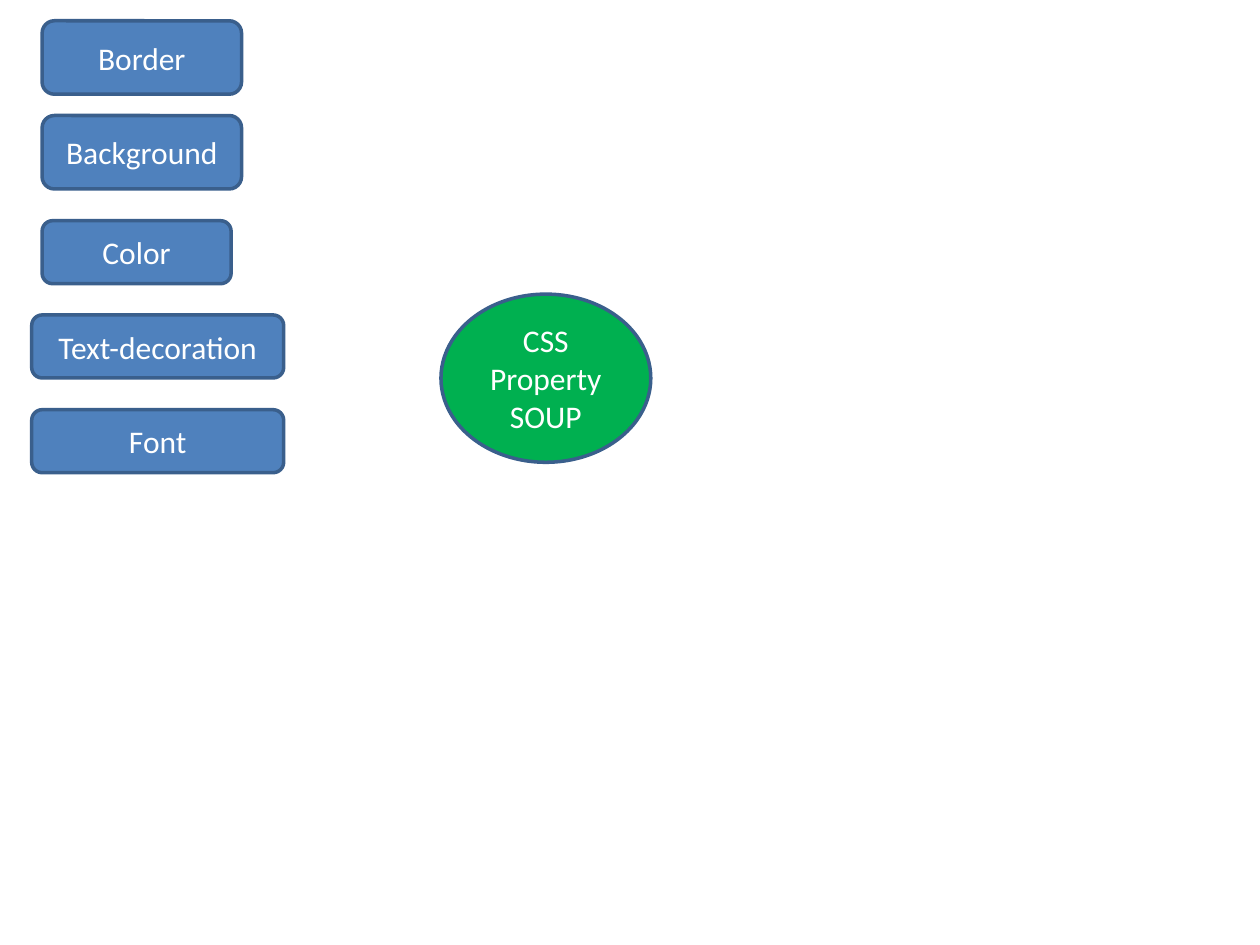
from dataclasses import dataclass

from pptx import Presentation
from pptx.dml.color import RGBColor
from pptx.enum.shapes import MSO_SHAPE as Preset
from pptx.enum.text import MSO_ANCHOR as Anchor, PP_ALIGN as Align
from pptx.slide import Slide
from pptx.util import Cm, Pt

COLORS = {"property": "4F81BD", "soup": "00B050", "outline": "3A5F8C", "text": "FFFFFF"}
FONT_FORMAT = {"name": "Calibri", "size": Pt(18)}
FRAME_FORMAT = {"word_wrap": True, "vertical_anchor": Anchor.MIDDLE}


@dataclass(frozen=True)
class Bubble:
    """A labelled shape, with lengths in centimetres."""
    label: str
    left: float
    top: float
    width: float
    height: float
    preset: Preset = Preset.ROUNDED_RECTANGLE
    color: str = "property"


BUBBLES = [
    Bubble("Border", 0.85, 0.42, 4.02, 1.48),
    Bubble("Background", 0.85, 2.33, 4.02, 1.48),
    Bubble("Color", 0.85, 4.45, 3.81, 1.27),
    Bubble("Text-decoration", 0.64, 6.35, 5.08, 1.27),
    Bubble("CSS Property SOUP", 8.89, 5.93, 4.23, 3.39, Preset.OVAL, "soup"),
    Bubble("Font", 0.64, 8.26, 5.08, 1.27),
]


def rgb(key: str) -> RGBColor:
    """Look up a named colour."""
    return RGBColor.from_string(COLORS[key])


def apply_format(target: object, values: dict) -> None:
    """Set each format value on the target."""
    for attribute, value in values.items():
        setattr(target, attribute, value)


def draw_bubble(slide: Slide, bubble: Bubble) -> None:
    """Draw one filled shape with its centred label."""
    place = map(Cm, (bubble.left, bubble.top, bubble.width, bubble.height))
    outline = slide.shapes.add_shape(bubble.preset, *place)
    outline.shadow.inherit = False
    outline.fill.solid()
    outline.fill.fore_color.rgb = rgb(bubble.color)
    outline.line.color.rgb = rgb("outline")
    outline.line.width = Pt(2)

    apply_format(outline.text_frame, FRAME_FORMAT)
    paragraph = outline.text_frame.paragraphs[0]
    paragraph.alignment = Align.CENTER
    label = paragraph.add_run()
    label.text = bubble.label
    apply_format(label.font, FONT_FORMAT)
    label.font.color.rgb = rgb("text")


def main() -> None:
    """Build and save the slide."""
    deck = Presentation()
    apply_format(deck, {"slide_width": Cm(25.4), "slide_height": Cm(19.05)})
    blank_layout = deck.slide_layouts.get_by_name("Blank")
    slide = deck.slides.add_slide(blank_layout)
    for bubble in BUBBLES:
        draw_bubble(slide, bubble)
    deck.save("out.pptx")


main()
